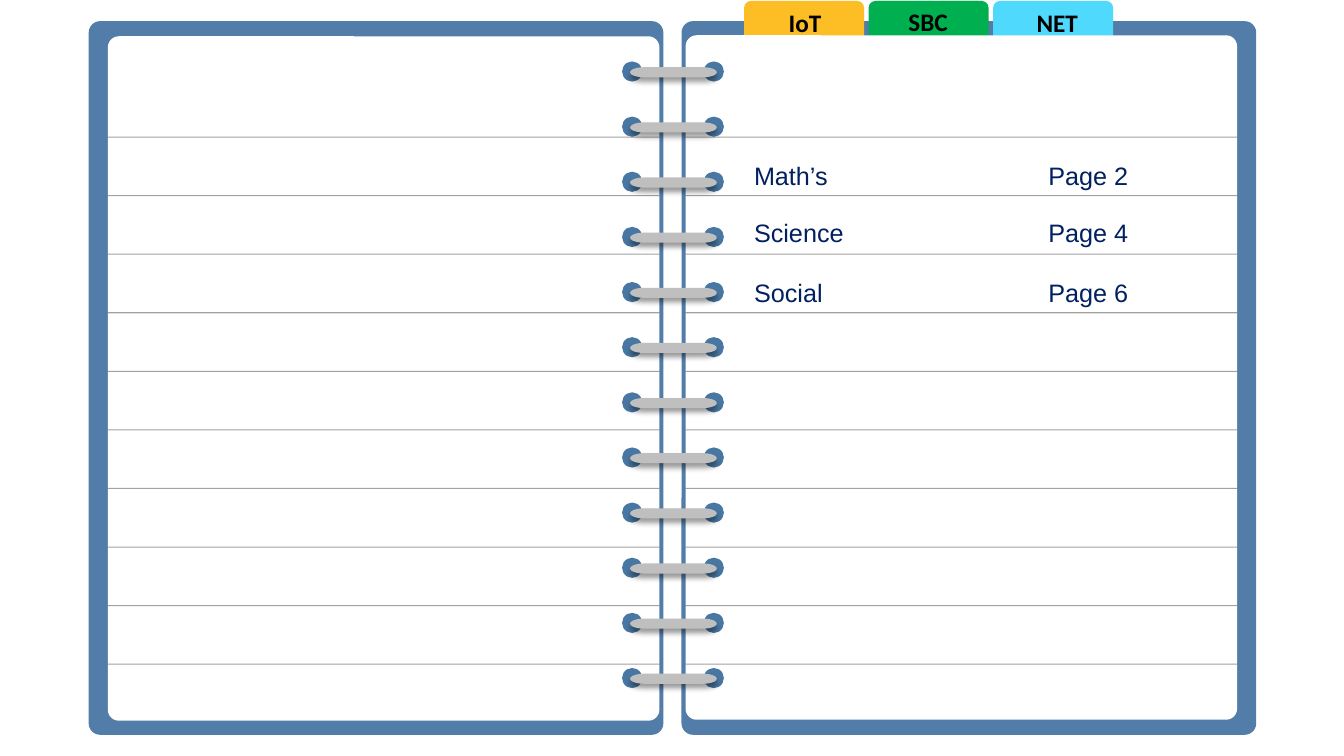
"""Build an open spiral notebook with index tabs and a list of subjects."""
from lxml import etree
from pptx import Presentation
from pptx.dml.color import RGBColor
from pptx.enum.shapes import MSO_CONNECTOR, MSO_SHAPE
from pptx.enum.text import MSO_ANCHOR, MSO_AUTO_SIZE, PP_ALIGN
from pptx.oxml.ns import qn
from pptx.util import Inches, Pt

ROUNDED = MSO_SHAPE.ROUNDED_RECTANGLE
TAB = MSO_SHAPE.ROUND_2_SAME_RECTANGLE
RECTANGLE = MSO_SHAPE.RECTANGLE
OVAL = MSO_SHAPE.OVAL
TERMINATOR = MSO_SHAPE.FLOWCHART_TERMINATOR
STRAIGHT = MSO_CONNECTOR.STRAIGHT
TOP = MSO_ANCHOR.TOP
GROW = MSO_AUTO_SIZE.SHAPE_TO_FIT_TEXT
LEFT, CENTER = PP_ALIGN.LEFT, PP_ALIGN.CENTER

COLUMNS, ROWS = 133.3, 75
COVER, HOLE, WIRE = "527DA8", "4977A3", "BFBFBF"
PAPER, INK, NAVY = "FFFFFF", "000000", "002060"
PAGE_WIDTH, PAGE_HEIGHT = 54.7, 67.9
LEFT_PAGE, RIGHT_PAGE = 10.7, 68
TAB_LEFT, TAB_PITCH = 73.8, 12.35
RING_COUNT, RING_TOP, RING_PITCH = 12, 6.1, 5.47
RULE_COUNT, RULE_TOP, RULE_PITCH = 10, 13.6, 5.81
TABS = [("IoT", "FDBE25", 74.9, False), ("SBC", "00B050", 87.1, True),
        ("NET", "4ED9FD", 99.9, False)]
SUBJECTS = [("Math’s", "Page 2", 15.4), ("Science", "Page 4", 21.1),
            ("Social", "Page 6", 27)]


def color(value):
    """Turn a hex string into a colour."""
    return RGBColor.from_string(value)


def write_text(shape, text, size=18, font="Arial", ink=NAVY, bold=False, align=LEFT):
    """Write one formatted paragraph into a shape."""
    frame = shape.text_frame
    frame.word_wrap = True
    frame.auto_size = GROW
    frame.vertical_anchor = TOP
    paragraph = frame.paragraphs[0]
    paragraph.alignment = align
    run = paragraph.add_run()
    run.text = text
    run.font.size = Pt(size)
    run.font.name = font
    run.font.bold = bold
    run.font.color.rgb = color(ink)


class Notebook:
    """Hold the slide, its grid and the shape collection being filled."""

    def __init__(self, presentation):
        """Add a blank slide and measure its grid cells."""
        self.slide = presentation.slides.add_slide(presentation.slide_layouts[6])
        self.column = presentation.slide_width / COLUMNS
        self.row = presentation.slide_height / ROWS
        self.shapes = self.slide.shapes

    def begin_group(self):
        """Send the next elements into a new group."""
        self.shapes = self.slide.shapes.add_group_shape().shapes

    def end_group(self):
        """Send the next elements to the slide again."""
        self.shapes = self.slide.shapes

    def place(self, left, top, width, height):
        """Convert grid cells into slide lengths."""
        return (round(left * self.column), round(top * self.row),
                round(width * self.column), round(height * self.row))

    def block(self, kind, box, fill, corners=()):
        """Draw a filled shape without outline or shadow."""
        shape = self.shapes.add_shape(kind, *self.place(*box))
        shape.shadow.inherit = False
        shape.fill.solid()
        shape.fill.fore_color.rgb = color(fill)
        shape.line.fill.background()
        for index, corner in enumerate(corners):
            shape.adjustments[index] = corner
        return shape

    def label(self, text, box, **style):
        """Place a text box."""
        write_text(self.shapes.add_textbox(*self.place(*box)), text, **style)

    def rule(self, left, top, width):
        """Draw one faint horizontal writing line."""
        x, y, length, _ = self.place(left, top, width, 0)
        line = self.shapes.add_connector(STRAIGHT, x, y, x + length, y)
        line.line.width = Pt(0.75)
        line.line.color.rgb = color(INK)
        properties = line._element.spPr
        ink = properties.find(".//" + qn("a:srgbClr"))
        etree.SubElement(ink, qn("a:alpha"), val="36000")
        etree.SubElement(properties, qn("a:effectLst"))

    def page(self, left, top):
        """Draw a sheet of paper."""
        self.block(ROUNDED, (left, top, PAGE_WIDTH, PAGE_HEIGHT), PAPER, [0.02])

    def tab(self, index, text, fill, label_left, filled):
        """Draw an index tab with its label, plain or on a filled rectangle."""
        style = {"font": "Calibri", "ink": INK, "bold": True, "align": CENTER}
        self.begin_group()
        self.block(TAB, (TAB_LEFT + index * TAB_PITCH, 0.1, 11.9, 4), fill, [0.167, 0])
        if filled:
            label = self.block(RECTANGLE, (label_left, 0.1, 9.9, 4), fill)
            write_text(label, text, **style)
        else:
            self.label(text, (label_left, 0.2, 9.9, 4), **style)
        self.end_group()

    def ring(self, top):
        """Draw two punched holes joined by a shaded wire."""
        self.begin_group()
        for left in (61.7, 69.8):
            self.block(OVAL, (left, top, 2, 2), HOLE)
        wire = self.block(TERMINATOR, (62.5, top + 0.57, 8.6, 1), WIRE)
        effects = wire._element.spPr.find(qn("a:effectLst"))
        shadow = etree.SubElement(
            effects, qn("a:outerShdw"), blurRad=str(Pt(4)), dist=str(Pt(3)),
            dir="5400000", algn="t", rotWithShape="0")
        shade = etree.SubElement(shadow, qn("a:srgbClr"), val=INK)
        etree.SubElement(shade, qn("a:alpha"), val="40000")
        self.end_group()

    def ruling(self, left):
        """Rule a whole page."""
        self.begin_group()
        for index in range(RULE_COUNT):
            self.rule(left, RULE_TOP + index * RULE_PITCH, PAGE_WIDTH)
        self.end_group()


def main():
    """Assemble the notebook and save it."""
    presentation = Presentation()
    presentation.slide_width = Inches(13.33)
    presentation.slide_height = Inches(7.5)
    notebook = Notebook(presentation)
    for left in (8.8, 67.6):
        notebook.block(ROUNDED, (left, 2.1, 57, 70.8), COVER, [0.02])
    notebook.page(LEFT_PAGE, 3.6)
    for index, tab in enumerate(TABS):
        notebook.tab(index, *tab)
    notebook.page(RIGHT_PAGE, 3.5)
    for index in range(RING_COUNT):
        notebook.ring(RING_TOP + index * RING_PITCH)
    for left in (LEFT_PAGE, RIGHT_PAGE):
        notebook.ruling(left)
    for subject, page, top in SUBJECTS:
        notebook.label(subject, (73.8, top, 19.1, 4))
        notebook.label(page, (103, top, 19.1, 4))
    presentation.save("out.pptx")


if __name__ == "__main__":
    main()
